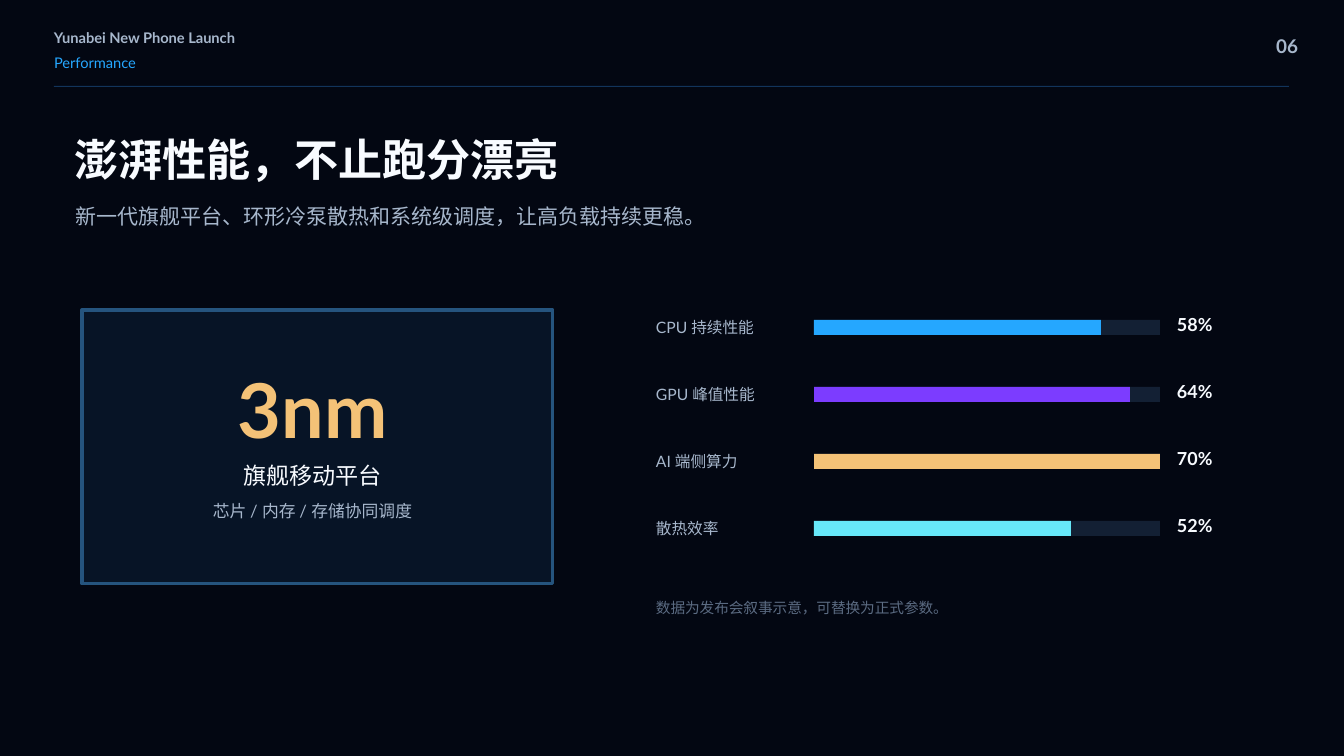
from pptx import Presentation
from pptx.dml.color import RGBColor
from pptx.enum.shapes import MSO_SHAPE
from pptx.enum.text import MSO_ANCHOR, PP_ALIGN
from pptx.util import Pt

PX = 914400 / 100.8
FONT = "Lato"
WHITE, MUTED, BLUE, GOLD = "F8FBFF", "A7B7CC", "25A7FF", "F4C277"
LEFT, CENTER, RIGHT = PP_ALIGN.LEFT, PP_ALIGN.CENTER, PP_ALIGN.RIGHT


def px(value):
    return round(value * PX)


def rgb(value):
    return RGBColor.from_string(value)


def write(shape, text, size, color, bold=False, align=LEFT):
    frame = shape.text_frame
    frame.word_wrap = True
    frame.vertical_anchor = MSO_ANCHOR.TOP
    frame.margin_left = frame.margin_right = frame.margin_top = frame.margin_bottom = 0
    paragraph = frame.paragraphs[0]
    paragraph.alignment = align
    paragraph.line_spacing = 1.0
    paragraph.space_before = Pt(0)
    run = paragraph.add_run()
    run.text = text
    run.font.name = FONT
    run.font.size = Pt(size)
    run.font.bold = bold
    run.font.color.rgb = rgb(color)


def add_text(slide, box, *style, **options):
    write(slide.shapes.add_textbox(*map(px, box)), *style, **options)


def add_rect(slide, box, fill, line=None, weight=0):
    shape = slide.shapes.add_shape(MSO_SHAPE.RECTANGLE, *map(px, box))
    shape.shadow.inherit = False
    shape.fill.solid()
    shape.fill.fore_color.rgb = rgb(fill)
    if line:
        shape.line.color.rgb = rgb(line)
        shape.line.width = Pt(weight)
    else:
        shape.line.fill.background()


def add_header(slide, x, y, width, brand, section, number):
    add_text(slide, (x, y, 262, 23), brand, 10.5, MUTED, bold=True)
    add_text(slide, (x, y + 25, 336, 23), section, 10.5, BLUE)
    add_text(slide, (x + width - 35, y + 6, 44, 25), number, 13.5, MUTED, bold=True, align=RIGHT)
    add_rect(slide, (x, y + 57, width, 1), "12345B")


def add_heading(slide, x, y, title, subtitle):
    placeholder = slide.shapes.title
    placeholder.left, placeholder.top, placeholder.width, placeholder.height = map(px, (x, y, 651, 58))
    write(placeholder, title, 31.5, WHITE, bold=True)
    add_text(slide, (x + 2, y + 72, 756, 35), subtitle, 15, MUTED)


def add_chip_panel(slide, x, y, width, height, figure, name, detail):
    add_rect(slide, (x, y, width, height), "071426", "25547E", 2.25)
    left = x + 89
    add_text(slide, (left, y + 53, 283, 76), figure, 54, GOLD, bold=True, align=CENTER)
    add_text(slide, (left, y + 151, 283, 27), name, 16.5, WHITE, align=CENTER)
    add_text(slide, (left, y + 191, 283, 25), detail, 12, MUTED, align=CENTER)


def add_gain_bars(slide, x, y, pitch, gains, note):
    track = 346
    top_gain = max(gain for _, gain, _ in gains)
    for row, (label, gain, color) in enumerate(gains):
        top = y + row * pitch
        bar_x = x + 158
        add_text(slide, (x, top + 4, 136, 21), label, 11.2, MUTED)
        add_rect(slide, (bar_x, top + 6, track, 15), "132034")
        add_rect(slide, (bar_x, top + 6, round(track * gain / top_gain), 15), color)
        add_text(slide, (x + 521, top, 62, 25), f"{gain}%", 12.8, WHITE, bold=True)
    add_text(slide, (x, y + 285, 452, 25), note, 10.5, "5B6B82")


def add_performance_slide(deck):
    slide = deck.slides.add_slide(deck.slide_layouts[5])
    slide.background.fill.solid()
    slide.background.fill.fore_color.rgb = rgb("030712")
    add_header(slide, 54, 29, 1235, "Yunabei New Phone Launch", "Performance", "06")
    add_heading(slide, 74, 132, "澎湃性能，不止跑分漂亮",
                "新一代旗舰平台、环形冷泵散热和系统级调度，让高负载持续更稳。")
    add_chip_panel(slide, 82, 310, 471, 274, "3nm", "旗舰移动平台", "芯片 / 内存 / 存储协同调度")
    gains = [
        ("CPU 持续性能", 58, BLUE),
        ("GPU 峰值性能", 64, "7C3CFF"),
        ("AI 端侧算力", 70, GOLD),
        ("散热效率", 52, "67E8F9"),
    ]
    add_gain_bars(slide, 656, 314, 67, gains, "数据为发布会叙事示意，可替换为正式参数。")


deck = Presentation()
deck.slide_width, deck.slide_height = px(1344), px(756)
add_performance_slide(deck)
deck.save("out.pptx")
